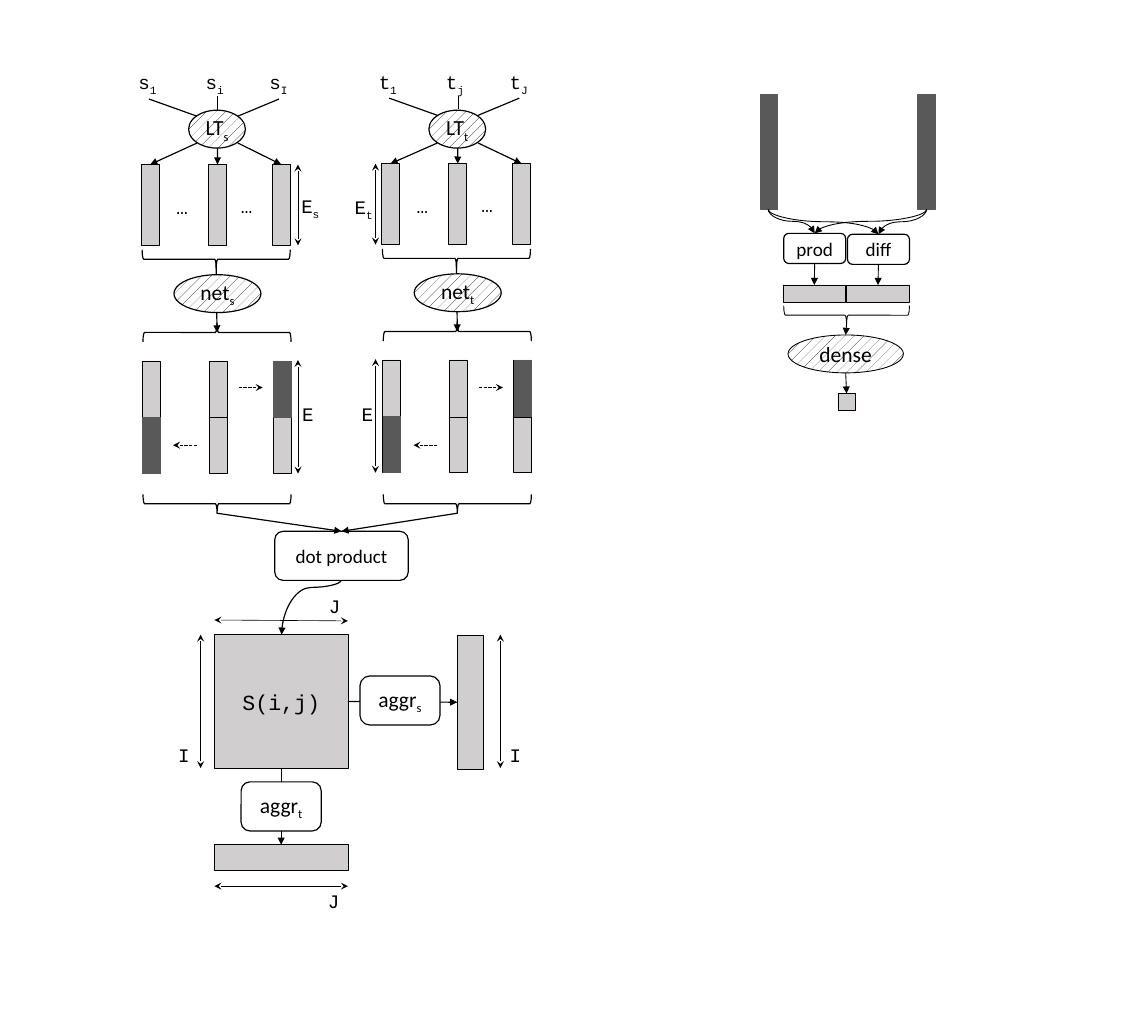
"""Build a slide of a word alignment network with two towers and a scoring head."""
from typing import NamedTuple, Optional

from lxml import etree
from pptx import Presentation
from pptx.dml.color import RGBColor
from pptx.enum.dml import MSO_LINE, MSO_PATTERN
from pptx.enum.shapes import MSO_CONNECTOR, MSO_SHAPE
from pptx.enum.text import MSO_AUTO_SIZE, MSO_ANCHOR, PP_ALIGN
from pptx.oxml.ns import qn
from pptx.shapes.autoshape import Shape
from pptx.shapes.connector import Connector
from pptx.slide import Slide
from pptx.text.text import TextFrame
from pptx.util import Pt

EMU_PER_PX = 9144
BLACK = RGBColor(0x00, 0x00, 0x00)
WHITE = RGBColor(0xFF, 0xFF, 0xFF)
LIGHT = RGBColor(0xD0, 0xCE, 0xCE)
DARK = RGBColor(0x59, 0x59, 0x59)
SANS, MONO = "Calibri", "Courier New"
RECTANGLE, ROUNDED = MSO_SHAPE.RECTANGLE, MSO_SHAPE.ROUNDED_RECTANGLE
OVAL, BRACE = MSO_SHAPE.OVAL, MSO_SHAPE.RIGHT_BRACE
STRAIGHT, CURVE = MSO_CONNECTOR.STRAIGHT, MSO_CONNECTOR.CURVE
DOTTED, HATCH = MSO_LINE.SQUARE_DOT, MSO_PATTERN.PERCENT_10
FIT_TEXT, MIDDLE, CENTER = MSO_AUTO_SIZE.SHAPE_TO_FIT_TEXT, MSO_ANCHOR.MIDDLE, PP_ALIGN.CENTER
TOP, LEFT, BOTTOM, RIGHT = range(4)
TRIANGLE, STEALTH = "triangle", "stealth"
COLUMNS = (164, 242, 316)
CELL_WIDTH = 21


class Caption(NamedTuple):
    text: str
    subscript: str = ""
    size: int = 16
    font: str = MONO


class Box(NamedTuple):
    left: int
    top: int
    width: int
    height: int
    kind: int = RECTANGLE
    fill: Optional[RGBColor] = LIGHT
    line: RGBColor = BLACK
    weight: float = 0.5
    caption: Optional[Caption] = None
    corner: float = 0.17


class Link(NamedTuple):
    start_x: int
    start_y: int
    end_x: int
    end_y: int
    weight: float = 1
    head: str = ""
    tail: str = ""
    dash: Optional[int] = None


class Tower(NamedTuple):
    side: str
    tokens: str
    shift_x: int
    shift_y: int
    size_x: int
    embedding_label: tuple[int, int]
    output_label: tuple[int, int]


TOWERS = (
    Tower("s", "1iI", 0, 0, 346, (340, 221), (341, 462)),
    Tower("t", "1jJ", 279, -1, 436, (402, 222), (410, 462)),
)


def px(value: float) -> int:
    return round(value * EMU_PER_PX)


def write_caption(frame: TextFrame, caption: Caption) -> None:
    paragraph = frame.paragraphs[0]
    paragraph.text = caption.text
    if caption.subscript:
        run = paragraph.add_run()
        run.text = caption.subscript
        run._r.get_or_add_rPr().set("baseline", "-25000")
    for run in paragraph.runs:
        run.font.name = caption.font
        run.font.size = Pt(caption.size)
        run.font.color.rgb = BLACK


def draw_box(slide: Slide, box: Box) -> Shape:
    shape = slide.shapes.add_shape(box.kind, px(box.left), px(box.top), px(box.width), px(box.height))
    shape.shadow.inherit = False
    shape.line.color.rgb = box.line
    shape.line.width = Pt(box.weight)
    if box.kind == OVAL:
        shape.fill.patterned()
        shape.fill.pattern = HATCH
        shape.fill.fore_color.rgb = BLACK
        shape.fill.back_color.rgb = WHITE
    elif box.fill is None:
        shape.fill.background()
    else:
        shape.fill.solid()
        shape.fill.fore_color.rgb = box.fill
    if box.kind == ROUNDED:
        shape.adjustments[0] = box.corner
    if box.caption:
        write_caption(shape.text_frame, box.caption)
        shape.text_frame.word_wrap = False
        shape.text_frame.vertical_anchor = MIDDLE
        shape.text_frame.paragraphs[0].alignment = CENTER
    return shape


def draw_brace(slide: Slide, center_x: int, center_y: int, span: int = 172,
               rotation: int = 90, weight: float = 1) -> None:
    box = Box(center_x - 11, center_y - span // 2, 22, span, BRACE, None, weight=weight)
    draw_box(slide, box).rotation = rotation


def draw_label(slide: Slide, left: int, top: int, caption: Caption) -> None:
    width = 43 if caption.subscript else 34
    shape = slide.shapes.add_textbox(px(left), px(top), px(width), px(37))
    shape.text_frame.word_wrap = False
    shape.text_frame.auto_size = FIT_TEXT
    write_caption(shape.text_frame, caption)


def format_connector(connector: Connector, link: Link) -> None:
    connector.line.color.rgb = BLACK
    connector.line.width = Pt(link.weight)
    if link.dash:
        connector.line.dash_style = link.dash
    outline = connector.line._get_or_add_ln()
    for tag, arrow in (("a:headEnd", link.head), ("a:tailEnd", link.tail)):
        if arrow:
            etree.SubElement(outline, qn(tag)).set("type", arrow)
    etree.SubElement(connector._element.spPr, qn("a:effectLst"))


def draw_link(slide: Slide, link: Link, start: Optional[tuple[Shape, int]] = None,
              end: Optional[tuple[Shape, int]] = None) -> None:
    connector = slide.shapes.add_connector(STRAIGHT, *map(px, link[:4]))
    format_connector(connector, link)
    if start:
        connector.begin_connect(*start)
    if end:
        connector.end_connect(*end)


def draw_curve(slide: Slide, link: Link, bend: float = 0.5) -> None:
    center_x, center_y = (link.start_x + link.end_x) / 2, (link.start_y + link.end_y) / 2
    half_width = (link.end_y - link.start_y) / 2
    half_height = abs(link.end_x - link.start_x) / 2
    side = 1 if link.end_x > link.start_x else -1
    connector = slide.shapes.add_connector(
        CURVE, px(center_x + side * half_width), px(center_y - half_height),
        px(center_x - side * half_width), px(center_y + half_height))
    properties = connector._element.spPr
    properties.find(qn("a:xfrm")).set("rot", "16200000" if side > 0 else "5400000")
    adjustment = etree.SubElement(properties.find(qn("a:prstGeom")).find(qn("a:avLst")), qn("a:gd"))
    adjustment.set("name", "adj1")
    adjustment.set("fmla", f"val {round(bend * 100000)}")
    format_connector(connector, link)


def draw_size(slide: Slide, *ends: int) -> None:
    draw_link(slide, Link(*ends, 0.5, STEALTH, STEALTH))


def draw_tower(slide: Slide, tower: Tower, dot_product: Shape) -> None:
    x, y, side = tower.shift_x, tower.shift_y, tower.side
    for column, start_x, start_y in zip(COLUMNS, (229, 253, 276), (166, 128, 166)):
        cell = draw_box(slide, Box(x + column, y + 191, CELL_WIDTH, 94))
        draw_link(slide, Link(x + start_x, start_y, x + column, y + 191, tail=TRIANGLE), end=(cell, TOP))
        draw_box(slide, Box(x + column + 1, y + 419, CELL_WIDTH, 131))
        draw_link(slide, Link(x + column + 1, 485, x + column + 22, 485, 0.5))
    for left, token in zip((151, 229, 303), tower.tokens):
        draw_label(slide, x + left, 77, Caption(side, token))
    for start_x, start_y, end_x, end_y in ((229, 135, 173, 115), (253, 128, 253, 112), (276, 135, 324, 115)):
        draw_link(slide, Link(x + start_x, y + start_y, x + end_x, y + end_y))
    draw_link(slide, Link(x + 251, y + 307, x + 252, y + 386, tail=TRIANGLE))
    draw_box(slide, Box(x + 219, 128, 66, 44, OVAL, weight=1, caption=Caption("LT", side, 18, SANS)))
    draw_box(slide, Box(x + 202, y + 319, 101, 44, OVAL, weight=1, caption=Caption("net", side, 18, SANS)))
    for left, top in ((195, 222), (270, 221)):
        draw_label(slide, x + left, y + top, Caption("…"))
    for left, top in ((166, 485), (318, 420)):
        draw_box(slide, Box(x + left, y + top, 20, 65, fill=DARK, line=DARK, weight=1))
    for start_x, end_x, level in ((277, 305, 450), (229, 201, 517)):
        draw_link(slide, Link(x + start_x, level, x + end_x, level, tail=STEALTH, dash=DOTTED))
    for center_x, center_y, rotation in ((251, y + 301, 90), (252, y + 386, 270), (252, 585, 90)):
        draw_brace(slide, x + center_x, center_y, rotation=rotation)
    draw_link(slide, Link(x + 252, 596, 396, 617, tail=TRIANGLE), end=(dot_product, TOP))
    for top, bottom in ((191, 285), (418, 550)):
        draw_size(slide, tower.size_x, y + top, tower.size_x, y + bottom)
    draw_label(slide, *tower.embedding_label, Caption("E", side))
    draw_label(slide, *tower.output_label, Caption("E"))


def draw_similarity(slide: Slide) -> None:
    matrix = draw_box(slide, Box(249, 737, 155, 155, caption=Caption("S(i,j)", size=18)))
    column = draw_box(slide, Box(531, 738, 30, 155))
    row = draw_box(slide, Box(249, 981, 155, 30))
    draw_link(slide, Link(404, 814, 531, 815, tail=TRIANGLE), (matrix, RIGHT), (column, LEFT))
    draw_link(slide, Link(327, 892, 327, 981, tail=TRIANGLE), (matrix, BOTTOM), (row, TOP))
    for left, top, side, corner in ((280, 908, "t", 0.18), (418, 785, "s", 0.2)):
        draw_box(slide, Box(left, top, 93, 57, ROUNDED, WHITE, weight=1,
                            caption=Caption("aggr", side, 18, SANS), corner=corner))
    for ends in ((233, 737, 233, 892), (249, 720, 404, 721), (581, 737, 581, 892), (249, 1029, 404, 1029)):
        draw_size(slide, *ends)
    for left, top, text in ((372, 685, "J"), (197, 858, "I"), (582, 858, "I"), (371, 1028, "J")):
        draw_label(slide, left, top, Caption(text))
    draw_curve(slide, Link(396, 674, 327, 737, tail=TRIANGLE), 0.13)


def draw_scoring(slide: Slide) -> None:
    for left in (883, 1066):
        for top, height in ((110, 67), (177, 66)):
            draw_box(slide, Box(left, top, 20, height, fill=DARK, line=DARK, weight=1))
    for left, top, name in ((910, 271, "prod"), (984, 272, "diff")):
        operation = draw_box(slide, Box(left, top, 72, 35, ROUNDED, WHITE, weight=1,
                                        caption=Caption(name, font=SANS)))
        result = draw_box(slide, Box(left - 1, 331, 73, 20))
        draw_link(slide, Link(left + 36, top + 35, left + 36, 331, 0.75, tail=TRIANGLE),
                  (operation, BOTTOM), (result, TOP))
        for start_x in (892, 1076):
            draw_curve(slide, Link(start_x, 243, left + 36, top, 0.75, tail=TRIANGLE))
    draw_brace(slide, 983, 366, 146, weight=0.75)
    draw_link(slide, Link(983, 376, 982, 389, 0.75, tail=TRIANGLE))
    draw_box(slide, Box(915, 389, 134, 44, OVAL, weight=0.75, caption=Caption("dense", "", 18, SANS)))
    score = draw_box(slide, Box(973, 457, 20, 20))
    draw_link(slide, Link(982, 433, 982, 457, 0.75, tail=TRIANGLE), end=(score, TOP))


def main() -> None:
    presentation = Presentation()
    presentation.slide_width, presentation.slide_height = px(1333), px(1181)
    slide = presentation.slides.add_slide(presentation.slide_layouts[6])
    dot_product = draw_box(slide, Box(319, 617, 155, 57, ROUNDED, WHITE, weight=1,
                                      caption=Caption("dot product", font=SANS)))
    for tower in TOWERS:
        draw_tower(slide, tower, dot_product)
    draw_similarity(slide)
    draw_scoring(slide)
    presentation.save("out.pptx")


if __name__ == "__main__":
    main()
